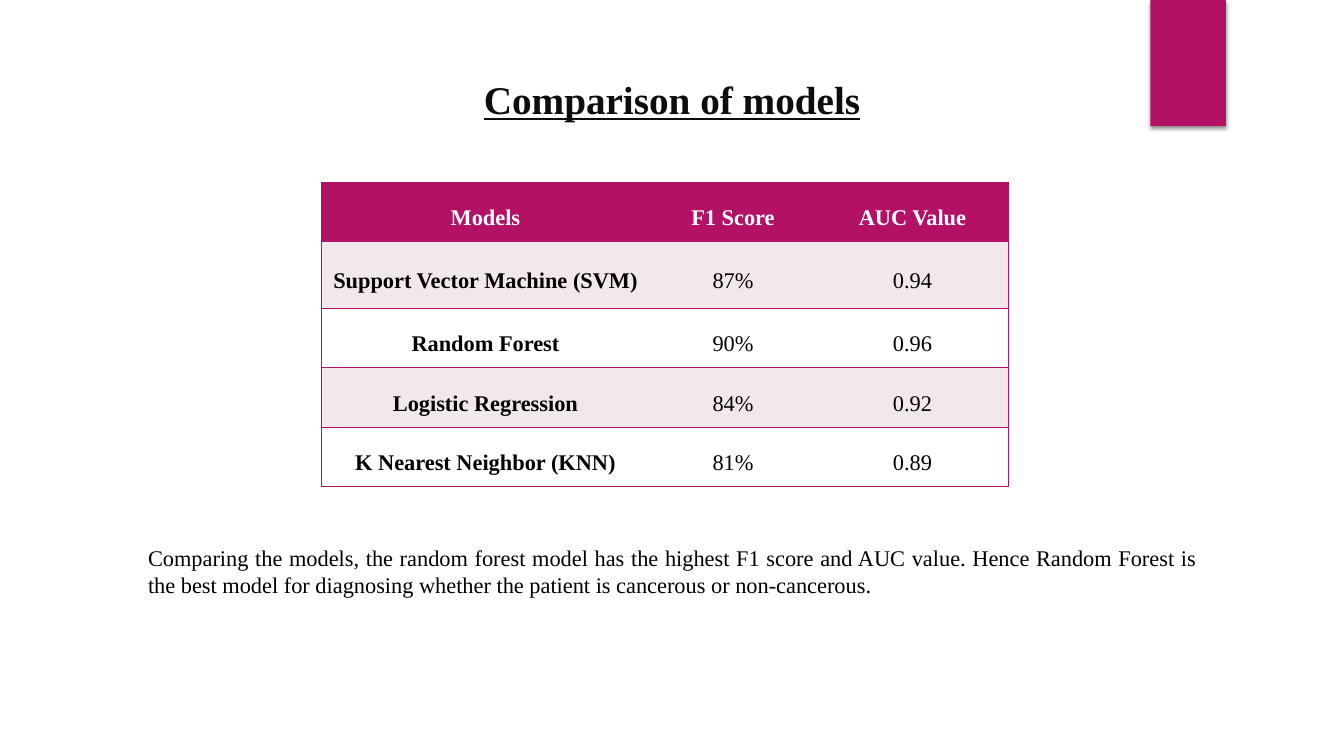
import dataclasses

import lxml.etree
import pptx
import pptx.dml.color
import pptx.enum.dml
import pptx.enum.shapes
import pptx.enum.text
import pptx.oxml
import pptx.oxml.ns
import pptx.util

PX = 9144  # EMU; 100 px to the inch
FACE = "Times New Roman"
RGB = pptx.dml.color.RGBColor
PINK = RGB(0xB3, 0x11, 0x66)
BLUSH = RGB(0xF2, 0xE7, 0xEA)
WHITE = RGB(0xFF, 0xFF, 0xFF)
BLACK = RGB(0, 0, 0)
INK = RGB(0x0D, 0x0D, 0x0D)
ALIGN = pptx.enum.text.PP_ALIGN
NS = 'xmlns:a="http://schemas.openxmlformats.org/drawingml/2006/main"'


@dataclasses.dataclass(frozen=True)
class Label:
    text: str
    box: tuple[int, int, int, int]
    align: ALIGN
    font: dict


LABELS = [
    Label("Comparison of models", (333, 70, 667, 57), ALIGN.CENTER,
          {"size": 28, "color": INK, "bold": True, "underline": True}),
    Label("Comparing the models, the random forest model has the highest F1 score "
          "and AUC value. Hence Random Forest is the best model for diagnosing "
          "whether the patient is cancerous or non-cancerous.",
          (137, 535, 1060, 64), ALIGN.JUSTIFY, {"size": 16, "color": BLACK}),
]
SCORES = [
    ("Models", "F1 Score", "AUC Value"),
    ("Support Vector Machine (SVM)", "87%", "0.94"),
    ("Random Forest", "90%", "0.96"),
    ("Logistic Regression", "84%", "0.92"),
    ("K Nearest Neighbor (KNN)", "81%", "0.89"),
]
WIDTHS = [325, 166, 190]
HEIGHTS = [59, 66, 59, 59, 59]


def scale(*sizes: int) -> list[pptx.util.Emu]:
    return [pptx.util.Emu(size * PX) for size in sizes]


def write(frame, text: str, align: ALIGN, look: dict, space: float = 1.0) -> None:
    para = frame.paragraphs[0]
    para.alignment = align
    para.line_spacing = space
    run = para.add_run()
    run.text = text
    run.font.name = FACE
    for name, value in look.items():
        if name == "color":
            run.font.color.rgb = value
        elif name == "size":
            run.font.size = pptx.util.Pt(value)
        else:
            setattr(run.font, name, value)


def add_ribbon(slide) -> None:
    ribbon = slide.shapes.add_shape(
        pptx.enum.shapes.MSO_SHAPE.RECTANGLE, *scale(1141, 0, 75, 125))
    ribbon.fill.solid()
    ribbon.fill.fore_color.rgb = PINK
    ribbon.line.fill.background()
    ribbon.shadow.inherit = False
    effects = ribbon.element.spPr.find(pptx.oxml.ns.qn("a:effectLst"))
    effects.append(pptx.oxml.parse_xml(
        f'<a:outerShdw {NS} blurRad="38100" dist="25400" dir="5400000" '
        'rotWithShape="0"><a:srgbClr val="000000"><a:alpha val="45000"/>'
        '</a:srgbClr></a:outerShdw>'))


def add_label(slide, label: Label) -> None:
    frame = slide.shapes.add_textbox(*scale(*label.box)).text_frame
    frame.word_wrap = True
    frame.auto_size = pptx.enum.text.MSO_AUTO_SIZE.SHAPE_TO_FIT_TEXT
    write(frame, label.text, label.align, label.font)


def add_edges(cell, drawn: str) -> None:
    """Rule the sides named in drawn (of L, R, T, B) and clear the others."""
    props = cell._tc.get_or_add_tcPr()
    for spot, side in enumerate("LRTB"):
        paint = (f'<a:solidFill><a:srgbClr val="{PINK}"/></a:solidFill>'
                 if side in drawn else "<a:noFill/>")
        props.insert(spot, pptx.oxml.parse_xml(
            f'<a:ln{side} {NS} w="12700">{paint}</a:ln{side}>'))


def add_scores(slide) -> None:
    frame = slide.shapes.add_table(
        len(SCORES), len(WIDTHS),
        *scale(319, 181, sum(WIDTHS), sum(HEIGHTS)))
    table = frame.table
    for col, width in zip(table.columns, scale(*WIDTHS)):
        col.width = width
    for row, height in zip(table.rows, scale(*HEIGHTS)):
        row.height = height
    side, flat = scale(8, 0)
    form = {"margin_left": side, "margin_right": side,
            "margin_top": flat, "margin_bottom": flat,
            "vertical_anchor": pptx.enum.text.MSO_ANCHOR.MIDDLE}
    for r, texts in enumerate(SCORES):
        fill = PINK if r == 0 else BLUSH if r % 2 else WHITE
        for c, text in enumerate(texts):
            cell = table.cell(r, c)
            for name, value in form.items():
                setattr(cell, name, value)
            cell.fill.solid()
            cell.fill.fore_color.rgb = fill
            add_edges(cell, "TB" + {0: "L", len(WIDTHS) - 1: "R"}.get(c, ""))
            look = {"size": 16, "color": BLACK if r else WHITE,
                    "bold": r == 0 or c == 0}
            write(cell.text_frame, text, ALIGN.CENTER, look, 1.5)


def main() -> None:
    deck = pptx.Presentation()
    deck.slide_width, deck.slide_height = scale(1333, 750)
    slide = deck.slides.add_slide(deck.slide_layouts[6])
    add_ribbon(slide)
    title, note = LABELS
    add_label(slide, title)
    add_scores(slide)
    add_label(slide, note)
    deck.save("out.pptx")


if __name__ == "__main__":
    main()
